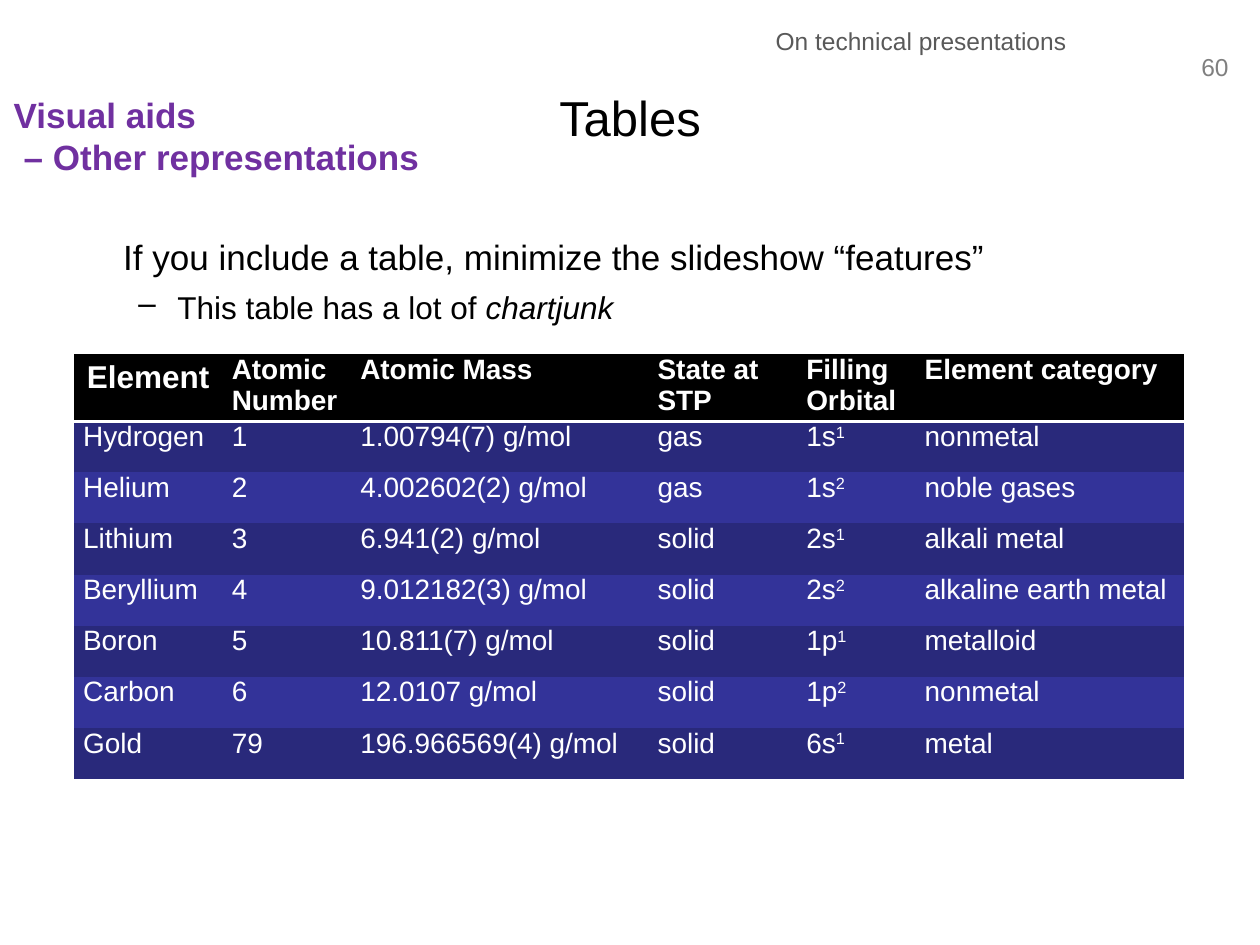
from lxml.etree import SubElement
from pptx import Presentation
from pptx.dml.color import RGBColor
from pptx.enum.text import MSO_ANCHOR, PP_ALIGN
from pptx.oxml import parse_xml
from pptx.oxml.ns import nsdecls, qn
from pptx.util import Inches, Pt

HEADINGS = ["Element", "Atomic Number", "Atomic Mass", "State at STP",
            "Filling Orbital", "Element category"]
ELEMENTS = [
    ["Hydrogen", "1", "1.00794(7) g/mol", "gas", "1s1", "nonmetal"],
    ["Helium", "2", "4.002602(2) g/mol", "gas", "1s2", "noble gases"],
    ["Lithium", "3", "6.941(2) g/mol", "solid", "2s1", "alkali metal"],
    ["Beryllium", "4", "9.012182(3) g/mol", "solid", "2s2", "alkaline earth metal"],
    ["Boron", "5", "10.811(7) g/mol", "solid", "1p1", "metalloid"],
    ["Carbon", "6", "12.0107 g/mol", "solid", "1p2", "nonmetal"],
    ["Gold", "79", "196.966569(4) g/mol", "solid", "6s1", "metal"],
]
COLUMN_WIDTHS = [1.18, 1.02, 2.36, 1.18, 0.94, 2.13]
ORBITAL_COLUMN = 4
HEADER_HEIGHT = 0.49
TABLE_HEIGHT = 3.33
NO_GRID_STYLE = "{2D5ABB26-0587-4C30-8999-92F81FD0307C}"


def color(value):
    return RGBColor.from_string(value)


class SlideBuilder:
    font = "Arial"
    black, white, gray, silver, purple = "000000", "FFFFFF", "595959", "808080", "7030A0"
    bands = ["29297B", "333399"]

    def __init__(self, page):
        self.page = page

    def format(self, para, size, shade, bold=False):
        for span in para.runs:
            span.font.name = self.font
            span.font.size = Pt(size)
            span.font.bold = bold
            span.font.color.rgb = color(shade)

    def indent(self, para, left, first=0, bullet=None):
        properties = para._p.get_or_add_pPr()
        properties.set("marL", str(Inches(left)))
        properties.set("indent", str(Inches(first)))
        if bullet:
            SubElement(properties, qn("a:buChar")).set("char", bullet)

    def text(self, place, lines, size, shade, align=PP_ALIGN.LEFT, bold=False,
             wrap=True, anchor=MSO_ANCHOR.TOP):
        box = self.page.shapes.add_textbox(*map(Inches, place))
        frame = box.text_frame
        frame.word_wrap = wrap
        frame.vertical_anchor = anchor
        frame.text = "\n".join(lines)
        for para in frame.paragraphs:
            para.alignment = align
            self.format(para, size, shade, bold)
        return frame

    def advice(self, place, statement, detail, emphasis):
        frame = self.text(place, [statement, detail], 20, self.black)
        frame.margin_top = Inches(0.12)
        first, second = frame.paragraphs
        self.indent(first, 0.38)
        self.indent(second, 0.81, -0.31, "–")
        second.space_before = Pt(6)
        span = second.add_run()
        span.text = emphasis
        self.format(second, 18, self.black)
        span.font.italic = True

    def cell(self, cell, text, fill, size=16, bold=False, superscript=""):
        cell.fill.solid()
        cell.fill.fore_color.rgb = color(fill)
        cell.margin_left = cell.margin_right = Inches(0.07)
        cell.margin_top = cell.margin_bottom = 0
        para = cell.text_frame.paragraphs[0]
        para.text = text
        if superscript:
            span = para.add_run()
            span.text = superscript
            span._r.get_or_add_rPr().set("baseline", "30000")
        self.format(para, size, self.white, bold)

    def underline(self, cell):
        border = parse_xml(
            f'<a:lnB {nsdecls("a")} w="{Pt(2)}"><a:solidFill>'
            f'<a:srgbClr val="{self.white}"/></a:solidFill></a:lnB>')
        cell._tc.get_or_add_tcPr().insert(0, border)

    def table(self, left, top):
        frame = self.page.shapes.add_table(
            len(ELEMENTS) + 1, len(HEADINGS), Inches(left), Inches(top),
            Inches(sum(COLUMN_WIDTHS)), Inches(TABLE_HEIGHT))
        table = frame.table
        table._tbl.tblPr.find(qn("a:tableStyleId")).text = NO_GRID_STYLE
        for column, width in zip(table.columns, COLUMN_WIDTHS):
            column.width = Inches(width)
        body_height = (TABLE_HEIGHT - HEADER_HEIGHT) / len(ELEMENTS)
        for index, row in enumerate(table.rows):
            row.height = Inches(body_height if index else HEADER_HEIGHT)
        for column, heading in enumerate(HEADINGS):
            cell = table.cell(0, column)
            self.cell(cell, heading, self.black, bold=True, size=16 if column else 18)
            self.underline(cell)
        corner = table.cell(0, 0)
        corner.margin_left = corner.margin_right = Inches(0.1)
        corner.margin_top = corner.margin_bottom = Inches(0.05)
        for row, element in enumerate(ELEMENTS):
            for column, value in enumerate(element):
                text, power = value, ""
                if column == ORBITAL_COLUMN:
                    text, power = value[:-1], value[-1]
                self.cell(table.cell(row + 1, column), text, self.bands[row % 2],
                          superscript=power)


def main():
    deck = Presentation()
    deck.slide_width, deck.slide_height = Inches(10), Inches(7.5)
    slide = SlideBuilder(deck.slides.add_slide(deck.slide_layouts[6]))

    slide.text((6.02, 0.16, 2.58, 0.34), ["On technical presentations"], 14, slide.gray,
               PP_ALIGN.CENTER, wrap=False)
    slide.text((0.5, 0.3, 9, 1.25), ["Tables"], 28, slide.black, PP_ALIGN.CENTER,
               anchor=MSO_ANCHOR.MIDDLE)
    slide.advice((0.5, 1.75, 9, 4.95),
                 "If you include a table, minimize the slideshow “features”",
                 "This table has a lot of ", "chartjunk")
    slide.table(0.59, 2.81)
    slide.text((7.52, 0.36, 2.33, 0.52), ["60"], 14, slide.silver, PP_ALIGN.RIGHT)
    section = slide.text((0.01, 0.69, 3.53, 0.77),
                         ["Visual aids", "– Other representations"], 20, slide.purple,
                         bold=True, wrap=False)
    slide.indent(section.paragraphs[1], 0.08)

    deck.save("out.pptx")


if __name__ == "__main__":
    main()
